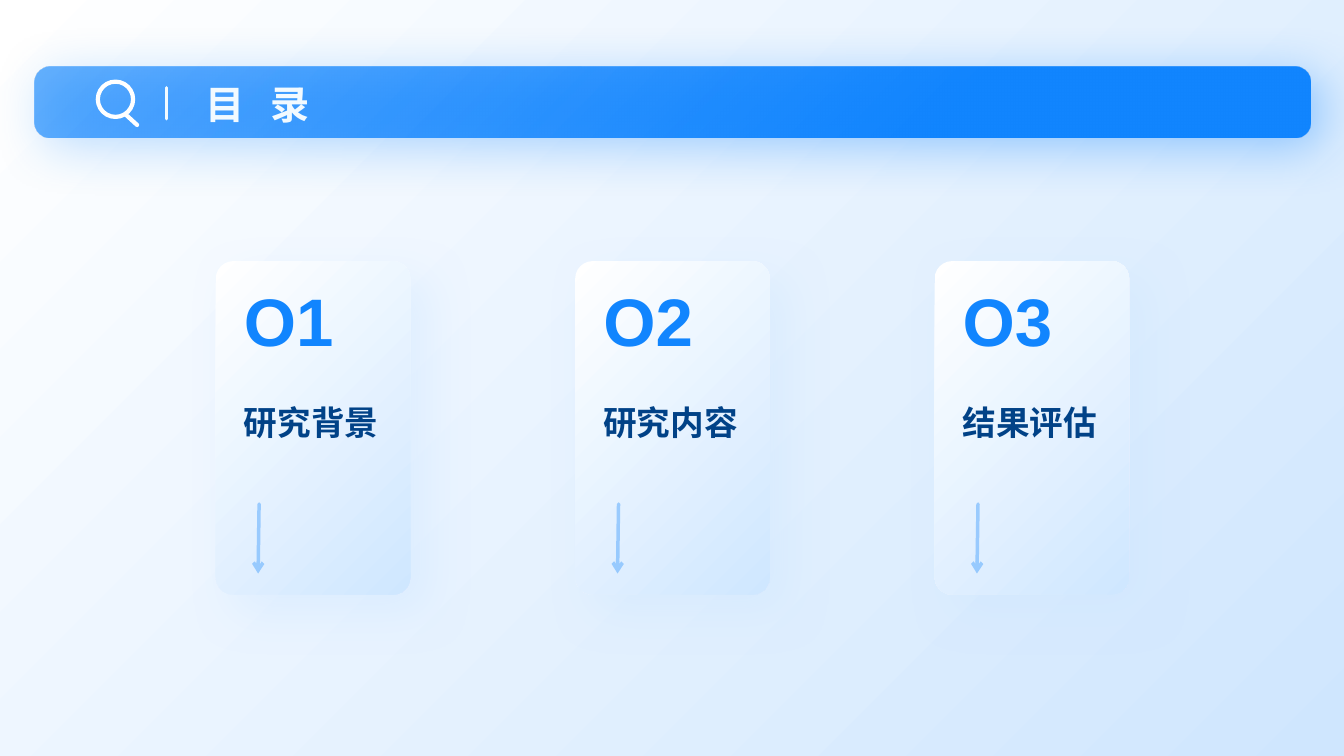
from lxml import etree
from pptx import Presentation
from pptx.dml.color import RGBColor
from pptx.enum.shapes import MSO_CONNECTOR, MSO_SHAPE
from pptx.enum.text import MSO_ANCHOR, MSO_AUTO_SIZE, PP_ALIGN
from pptx.oxml.ns import qn
from pptx.util import Inches, Pt

ROUND, OVAL = MSO_SHAPE.ROUNDED_RECTANGLE, MSO_SHAPE.OVAL
STRAIGHT = MSO_CONNECTOR.STRAIGHT
TOP, MIDDLE = MSO_ANCHOR.TOP, MSO_ANCHOR.MIDDLE
LEFT = PP_ALIGN.LEFT
NO_FIT = MSO_AUTO_SIZE.NONE

BLUE, NAVY, ICE = "1185FE", "014287", "F2FAFF"
WHITE, PALE, MIST = "FFFFFF", "CFE7FF", "CFE6FE"
LATIN, CJK = "Arial", "Noto Sans CJK SC"

SECTIONS = ["研究背景", "研究内容", "结果评估"]
CARD_X, CARD_Y, CARD_W, CARD_H = 2.14, 2.59, 1.93, 3.31
CARD_STEP = 3.565


def rgb(value):
    return RGBColor.from_string(value)


def inches(*values):
    return [Inches(v) for v in values]


def sub(parent, tag, **attrs):
    return etree.SubElement(parent, qn(tag), {k: str(v) for k, v in attrs.items()})


def set_alpha(parent, percent):
    for color in parent.iter(qn("a:srgbClr")):
        sub(color, "a:alpha", val=percent * 1000)
        break


def set_gradient(fill, start, end, end_at=1.0):
    """Diagonal gradient from top left to bottom right."""
    fill.gradient()
    fill.gradient_angle = 315
    first, last = fill.gradient_stops
    first.color.rgb, first.position = rgb(start), 0
    last.color.rgb, last.position = rgb(end), end_at


def add_panel(s, box, radius, start, end, shadow, end_at=1.0):
    """Rounded gradient panel; shadow is (colour, opacity, blur, distance)."""
    sp = s.shapes.add_shape(ROUND, *inches(*box))
    sp.adjustments[0] = radius
    set_gradient(sp.fill, start, end, end_at)
    sp.line.fill.background()
    sp.shadow.inherit = False
    color, opacity, blur, dist = shadow
    effects = sp._element.spPr.find(qn("a:effectLst"))
    outer = sub(effects, "a:outerShdw", blurRad=Pt(blur), dist=Pt(dist),
                dir=45 * 60000, algn="tl", rotWithShape=0)
    sub(outer, "a:srgbClr", val=color)
    set_alpha(outer, opacity)
    return sp


def add_line(shapes, x1, y1, x2, y2, color, width, arrow=False, opacity=None):
    cn = shapes.add_connector(STRAIGHT, *inches(x1, y1, x2, y2))
    cn.line.color.rgb = rgb(color)
    cn.line.width = Pt(width)
    ln = cn.line._ln
    ln.set("cap", "rnd")
    if opacity:
        set_alpha(ln, opacity)
    sub(ln, "a:round")
    if arrow:
        sub(ln, "a:tailEnd", type="arrow")
    sub(cn._element.spPr, "a:effectLst")


def write(sp, text, size, color, font=LATIN, anchor=TOP, spacing=None):
    tf = sp.text_frame
    tf.word_wrap = True
    tf.auto_size = NO_FIT
    tf.vertical_anchor = anchor
    p = tf.paragraphs[0]
    p.alignment = LEFT
    r = p.add_run()
    r.text = text
    r.font.size = Pt(size)
    r.font.bold = True
    r.font.name = font
    r.font.color.rgb = rgb(color)
    rPr = r.font._element
    sub(rPr, "a:ea", typeface=CJK)
    if spacing:
        rPr.set("spc", str(spacing * 100))


def add_text(s, box, text, size, color):
    write(s.shapes.add_textbox(*inches(*box)), text, size, color)


def add_search_icon(s, x, y):
    group = s.shapes.add_group_shape()
    lens = group.shapes.add_shape(OVAL, *inches(x, y, 0.35, 0.35))
    lens.fill.background()
    lens.line.color.rgb = rgb(WHITE)
    lens.line.width = Pt(3)
    lens.shadow.inherit = False
    add_line(group.shapes, x + 0.28, y + 0.33, x + 0.39, y + 0.43, WHITE, 3)


def add_header(s, x, y, w, h):
    # Bar
    bar = add_panel(s, (x, y, w, h), 0.226, BLUE, BLUE, (BLUE, 40, 37, 9), 0.72)
    set_alpha(bar._element.spPr.find(qn("a:gradFill")), 63)
    # Icon and divider
    add_search_icon(s, x + 0.63, y + 0.15)
    add_line(s.shapes, x + 1.31, y + 0.21, x + 1.31, y + 0.52, ICE, 2.25)
    # Title, raised above the bar
    title = s.shapes.title
    title.left, title.top, title.width, title.height = inches(
        x + 1.6, y + 0.03, 1.93, 0.68)
    write(title, "目 录", 28, ICE, font=CJK, anchor=MIDDLE, spacing=6)
    bar._element.addnext(title._element)


def add_card(s, x, y, w, h, number, label):
    add_panel(s, (x, y, w, h), 0.09, WHITE, PALE, (PALE, 47, 33, 18))
    add_text(s, (x + 0.18, y + 0.13, 1.22, 0.91), number, 48, BLUE)
    add_text(s, (x + 0.18, y + 1.35, w - 0.18, 1.06), label, 24, NAVY)
    add_line(s.shapes, x + 0.43, y + 2.41, x + 0.42, y + 3.1, BLUE, 2.5,
             arrow=True, opacity=35)


def main():
    prs = Presentation()
    prs.slide_width, prs.slide_height = inches(13.33, 7.5)
    s = prs.slides.add_slide(prs.slide_layouts.get_by_name("Title Only"))
    set_gradient(s.background.fill, WHITE, MIST)
    add_header(s, 0.34, 0.66, 12.66, 0.7)
    for i, label in enumerate(SECTIONS):
        add_card(s, CARD_X + i * CARD_STEP, CARD_Y, CARD_W, CARD_H,
                 f"O{i + 1}", label)
    prs.save("out.pptx")


if __name__ == "__main__":
    main()
